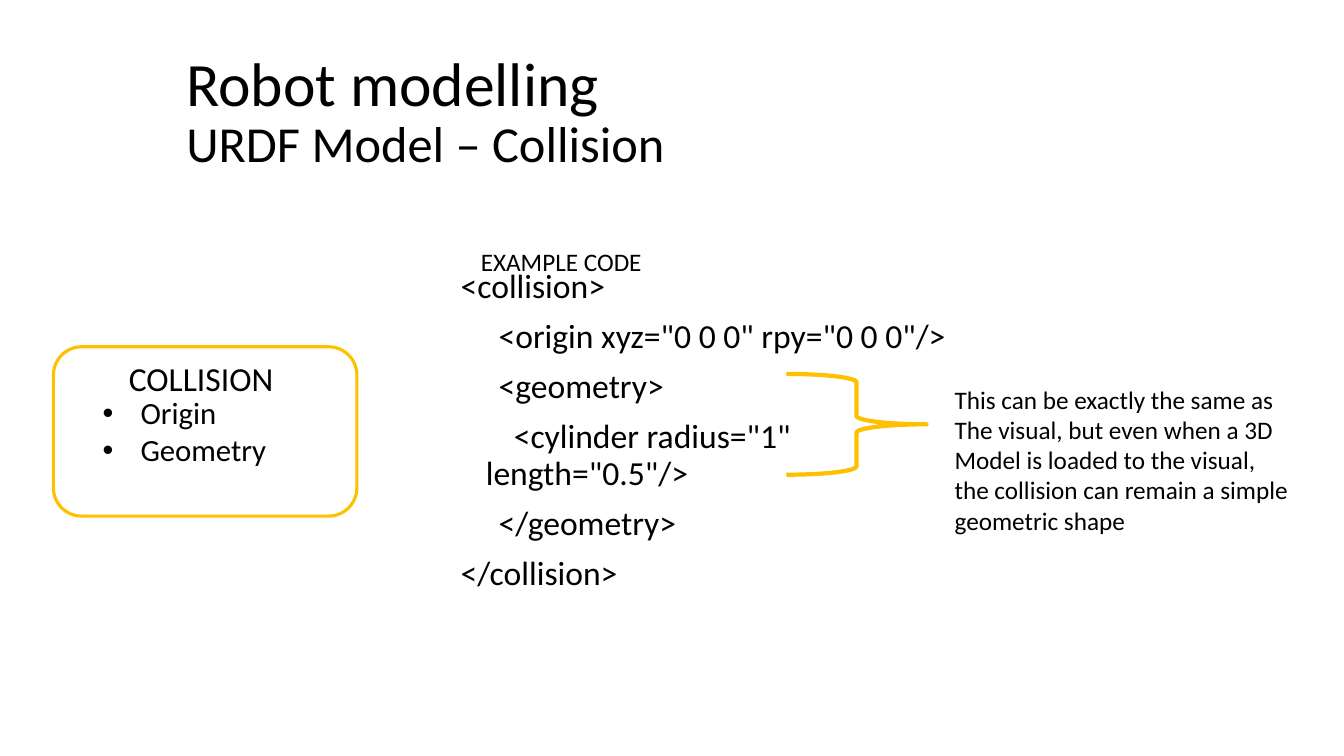
from lxml.etree import SubElement
from pptx import Presentation
from pptx.dml.color import RGBColor
from pptx.enum.shapes import MSO_SHAPE
from pptx.enum.text import MSO_ANCHOR
from pptx.oxml.ns import qn
from pptx.util import Inches, Pt

BLACK = "000000"
AMBER = "FFC000"
CODE = [
    '<collision>',
    '     <origin xyz="0 0 0" rpy="0 0 0"/>',
    '     <geometry>',
    '       <cylinder radius="1" length="0.5"/>',
    '     </geometry>',
    '</collision>',
]
REMARK = [
    "This can be exactly the same as",
    "The visual, but even when a 3D",
    "Model is loaded to the visual,",
    "the collision can remain a simple",
    "geometric shape",
]


def color(hex_code):
    """Turn a hex string into a colour."""
    return RGBColor.from_string(hex_code)


def add_run(paragraph, words, size):
    """Append a run in the slide's font."""
    run = paragraph.add_run()
    run.text = words
    run.font.name = "Calibri"
    run.font.size = Pt(size)
    run.font.color.rgb = color(BLACK)


def add_text(slide, box, lines, size, wrap=True, anchor=MSO_ANCHOR.TOP,
             spacing=None, before=0, hang=0, bullet=None):
    """Place one paragraph per line in a text box and return its frame."""
    frame = slide.shapes.add_textbox(*map(Inches, box)).text_frame
    frame.word_wrap = wrap
    frame.vertical_anchor = anchor
    for index, line in enumerate(lines):
        paragraph = frame.add_paragraph() if index else frame.paragraphs[0]
        paragraph.line_spacing = spacing
        if index and before:
            paragraph.space_before = Pt(before)
        properties = paragraph._p.get_or_add_pPr()
        if hang:
            properties.set("marL", str(Inches(hang)))
            properties.set("indent", str(-Inches(hang)))
        if bullet:
            SubElement(properties, qn("a:buFont"), typeface="Arial")
            SubElement(properties, qn("a:buChar"), char=bullet)
        add_run(paragraph, line, size)
    return frame


def add_outline(slide, kind, box, weight, adjustments):
    """Draw an unfilled amber shape."""
    outline = slide.shapes.add_shape(kind, *map(Inches, box))
    outline.shadow.inherit = False
    outline.fill.background()
    outline.line.color.rgb = color(AMBER)
    outline.line.width = Pt(weight)
    for index, value in enumerate(adjustments):
        outline.adjustments[index] = value


def add_heading(slide, box):
    """Write the title with its smaller second line."""
    frame = add_text(slide, box, ["Robot modelling"], 44,
                     anchor=MSO_ANCHOR.MIDDLE, spacing=0.9)
    heading = frame.paragraphs[0]
    heading.add_line_break()
    add_run(heading, "URDF Model – Collision", 36)


def add_collision_card(slide, box):
    """Draw the rounded card listing the parts of a collision element."""
    left, top, width, height = box
    add_outline(slide, MSO_SHAPE.ROUNDED_RECTANGLE, box, 2.25, [0.167])
    add_text(slide, (left + 0.65, top + 0.06, 1.7, 0.5), ["COLLISION"], 24)
    add_text(slide, (left + 0.39, top + 0.42, width - 0.5, height / 2),
             ["Origin", "Geometry"], 22, hang=0.375, bullet="•")


def add_example(slide, box):
    """Write the example code with its label above."""
    left, top, width, height = box
    add_text(slide, box, CODE, 24, spacing=0.9, before=10, hang=0.25)
    add_text(slide, (left + 0.2, top - 0.23, 1.85, 0.4), ["EXAMPLE CODE"], 18,
             wrap=False)


def add_geometry_remark(slide, box):
    """Brace the geometry lines and explain them at the right."""
    left, top, width, height = box
    add_outline(slide, MSO_SHAPE.RIGHT_BRACE, (left, top, 1.39, 1), 3,
                [0.083, 0.5])
    add_text(slide, (left + 1.57, top + 0.05, width - 1.57, height - 0.05),
             REMARK, 18, wrap=False)


def main():
    """Build and save the slide."""
    deck = Presentation()
    deck.slide_width, deck.slide_height = Inches(13.33), Inches(7.5)
    slide = deck.slides.add_slide(deck.slide_layouts[6])
    add_heading(slide, (1.75, 0.4, 8.37, 1.45))
    add_example(slide, (4.47, 2.62, 5.32, 4.76))
    add_collision_card(slide, (0.53, 3.44, 3.01, 1.68))
    add_geometry_remark(slide, (7.8, 3.71, 5.13, 1.65))
    deck.save("out.pptx")


if __name__ == "__main__":
    main()
